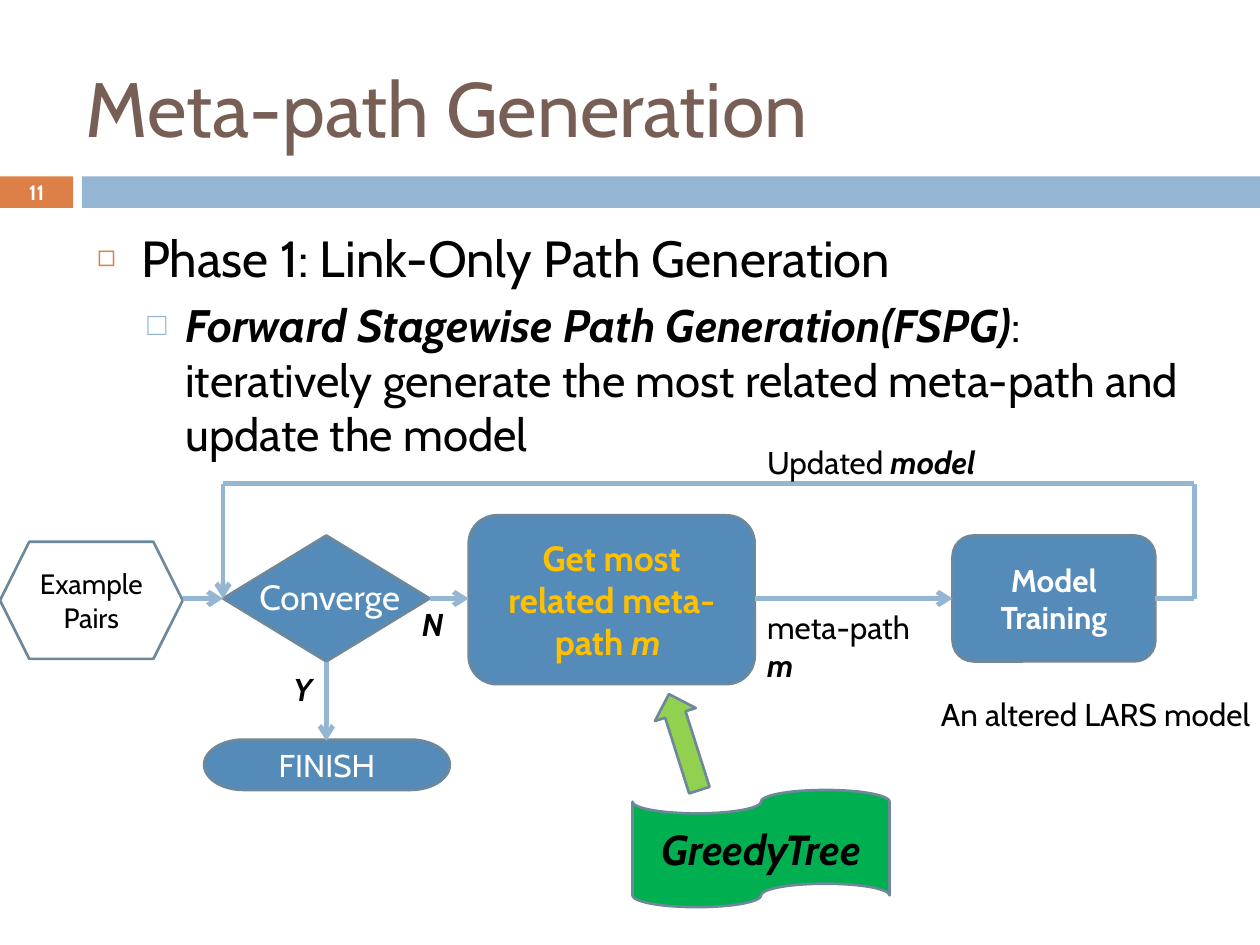
"""Build the meta-path generation slide with its flow chart."""
from lxml.etree import SubElement
from pptx import Presentation
from pptx.dml.color import RGBColor
from pptx.enum.shapes import MSO_CONNECTOR, MSO_SHAPE
from pptx.enum.text import MSO_ANCHOR, MSO_AUTO_SIZE, PP_ALIGN
from pptx.oxml.ns import qn
from pptx.util import Inches, Pt

BLACK = RGBColor(0x00, 0x00, 0x00)
WHITE = RGBColor(0xFF, 0xFF, 0xFF)
BROWN = RGBColor(0x77, 0x5F, 0x55)
ORANGE = RGBColor(0xDD, 0x80, 0x47)
PALE_BLUE = RGBColor(0x94, 0xB6, 0xD2)
BLUE = RGBColor(0x55, 0x8B, 0xB8)
OUTLINE = RGBColor(0x6D, 0x87, 0x9B)
GOLD = RGBColor(0xFF, 0xC0, 0x00)
GREEN = RGBColor(0x00, 0xB0, 0x50)
LIGHT_GREEN = RGBColor(0x92, 0xD0, 0x50)


class SlideBuilder:
    """Hold the style and the current slide."""

    font = "Cabin"
    outline_width = Pt(1.5)
    connector_width = Pt(2.79)

    def __init__(self, deck):
        self.slide = deck.slides.add_slide(deck.slide_layouts[1])

    def add_spans(self, paragraph, spans, size, color):
        """Add spans of text, each with a style of b and i letters."""
        for text, style in spans:
            span = paragraph.add_run()
            span.text = text
            span.font.name = self.font
            span.font.size = Pt(size)
            span.font.color.rgb = color
            span.font.bold = "b" in style
            span.font.italic = "i" in style

    def place(self, item, position):
        item.left, item.top, item.width, item.height = map(Inches, position)

    def title(self, text, position):
        title = self.slide.shapes.title
        self.place(title, position)
        frame = title.text_frame
        frame.auto_size = MSO_AUTO_SIZE.NONE
        frame.vertical_anchor = MSO_ANCHOR.MIDDLE
        frame.paragraphs[0].alignment = PP_ALIGN.LEFT
        self.add_spans(frame.paragraphs[0], [(text, "")], 44, BROWN)

    def body(self, position):
        body = self.slide.placeholders[1]
        self.place(body, position)
        body.text_frame.auto_size = MSO_AUTO_SIZE.NONE
        return body.text_frame

    def bullet(self, paragraph, spans, level, size, before, indent, mark):
        """Fill one list item; mark is its character, colour and percentage."""
        paragraph.level = level
        paragraph.space_before = Pt(before)
        left, hanging = indent
        character, color, percent = mark
        properties = paragraph._p.get_or_add_pPr()
        properties.set("marL", str(Inches(left)))
        properties.set("indent", str(-Inches(hanging)))
        bullet_color = SubElement(properties, qn("a:buClr"))
        SubElement(bullet_color, qn("a:srgbClr"), val=str(color))
        SubElement(properties, qn("a:buSzPct"), val=str(percent * 1000))
        SubElement(properties, qn("a:buChar"), char=character)
        self.add_spans(paragraph, spans, size, BLACK)

    def box(self, kind, position, fill, spans=(), size=18, color=WHITE, outlined=True):
        box = self.slide.shapes.add_shape(kind, *map(Inches, position))
        box.shadow.inherit = False
        box.fill.solid()
        box.fill.fore_color.rgb = fill
        if outlined:
            box.line.color.rgb = OUTLINE
            box.line.width = self.outline_width
        else:
            box.line.fill.background()
        frame = box.text_frame
        frame.word_wrap = True
        frame.vertical_anchor = MSO_ANCHOR.MIDDLE
        frame.paragraphs[0].alignment = PP_ALIGN.CENTER
        self.add_spans(frame.paragraphs[0], spans, size, color)
        return box

    def label(self, position, spans, size=18, color=BLACK):
        label = self.slide.shapes.add_textbox(*map(Inches, position))
        frame = label.text_frame
        frame.word_wrap = True
        frame.margin_right = 0
        self.add_spans(frame.paragraphs[0], spans, size, color)

    def connector(self, start, end, arrow=True):
        line = self.slide.shapes.add_connector(
            MSO_CONNECTOR.STRAIGHT, *map(Inches, start + end))
        line.line.color.rgb = PALE_BLUE
        line.line.width = self.connector_width
        if arrow:
            SubElement(line.line._get_or_add_ln(), qn("a:tailEnd"), type="arrow")
        SubElement(line._element.spPr, qn("a:effectLst"))


def main():
    deck = Presentation()
    deck.slide_width, deck.slide_height = Inches(10), Inches(7.5)
    page = SlideBuilder(deck)

    page.box(MSO_SHAPE.RECTANGLE, (0, 1.4, 0.58, 0.25), ORANGE,
             [("11", "b")], 11.9, outlined=False)
    page.box(MSO_SHAPE.RECTANGLE, (0.65, 1.4, 9.35, 0.25), PALE_BLUE, outlined=False)
    page.title("Meta-path Generation", (0.58, 0.31, 8.92, 1.08))

    body = page.body((0.67, 1.75, 8.92, 4.92))
    page.bullet(body.paragraphs[0], [("Phase 1: Link-Only Path Generation", "")],
                0, 29, 7, (0.35, 0.35), ("◻", ORANGE, 60))
    page.bullet(body.add_paragraph(), [
        ("Forward Stagewise Path Generation(FSPG)", "bi"),
        (": iteratively generate the most related meta-path and update the model", ""),
    ], 1, 26, 5.5, (0.7, 0.3), ("□", PALE_BLUE, 70))

    axis, loop_top, loop_left, loop_right = 4.75, 3.84, 1.77, 9.48
    page.box(MSO_SHAPE.HEXAGON, (0, 4.3, 1.45, 0.93), WHITE,
             [("Example Pairs", "")], 16, BLACK)
    page.box(MSO_SHAPE.ROUNDED_RECTANGLE, (3.72, 4.09, 2.27, 1.34), BLUE,
             [("Get most related meta-path ", "b"), ("m ", "bi")], 20, GOLD)
    page.box(MSO_SHAPE.ROUNDED_RECTANGLE, (7.56, 4.25, 1.61, 1), BLUE,
             [("Model Training", "b")])
    page.box(MSO_SHAPE.FLOWCHART_DECISION, (loop_left, 4.25, 1.64, 1), BLUE)
    page.box(MSO_SHAPE.FLOWCHART_TERMINATOR, (1.62, 5.87, 1.95, 0.4), BLUE,
             [("FINISH", "")])
    page.box(MSO_SHAPE.FLOWCHART_PUNCHED_TAPE, (5.02, 6.27, 2.04, 0.93), GREEN,
             [("GreedyTree", "bi")], 24, BLACK)
    pointer = page.box(MSO_SHAPE.UP_ARROW, (5.26, 5.49, 0.34, 0.8), LIGHT_GREEN)
    pointer.rotation = 342.4

    for start, end in ((1.45, loop_left), (3.41, 3.72), (5.99, 7.56)):
        page.connector((start, axis), (end, axis))
    page.connector((2.59, 5.25), (2.59, 5.88))
    loop = [(9.17, axis), (loop_right, axis), (loop_right, loop_top),
            (loop_left, loop_top), (loop_left, axis)]
    for start, end in zip(loop, loop[1:]):
        page.connector(start, end, arrow=end == loop[-1])

    page.label((5.99, 4.78, 1.4, 0.4), [("meta-path ", ""), ("m", "bi")])
    page.label((5.99, 3.47, 2.05, 0.4), [("Updated ", ""), ("model", "bi")])
    page.label((7.37, 5.47, 2.63, 0.4), [("An altered LARS model", "")])
    page.label((2.23, 5.27, 0.4, 0.4), [("Y", "bi")])
    page.label((3.25, 4.75, 0.4, 0.4), [("N", "bi")])
    page.label((1.96, 4.52, 1.4, 0.44), [("Converge", "")], 20, WHITE)

    deck.save("out.pptx")


if __name__ == "__main__":
    main()
